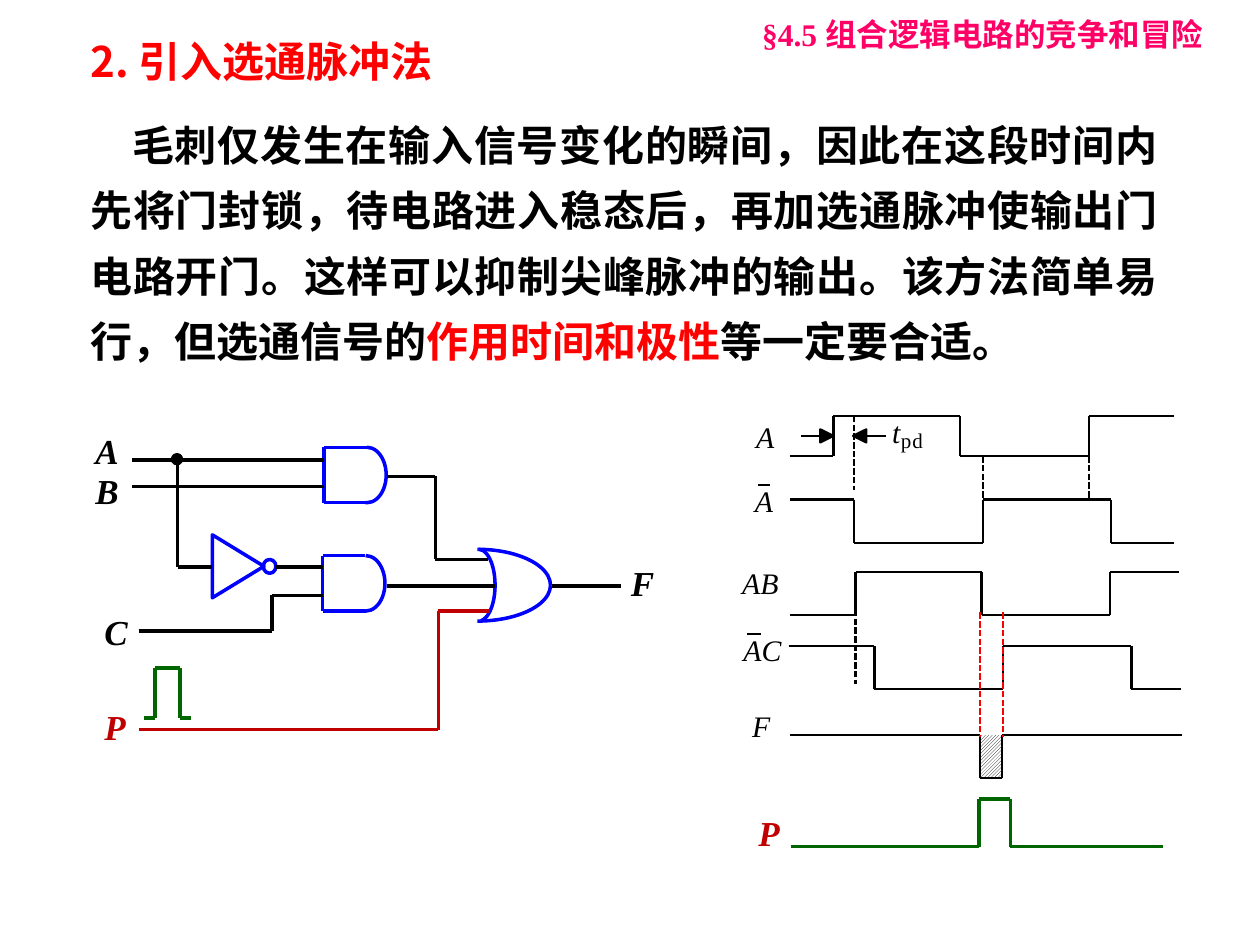
import lxml.etree
import pptx
import pptx.dml.color
import pptx.enum.dml
import pptx.enum.shapes
import pptx.enum.text
import pptx.oxml.ns
import pptx.util

SHAPE = pptx.enum.shapes.MSO_SHAPE
BLACK, BLUE, RED = "000000", "0000FF", "FF0000"
CRIMSON, GREEN, PINK, WHITE = "C00000", "006600", "FF0066", "FFFFFF"
HAN, ROMAN = "Noto Sans CJK SC", "Times New Roman"
COLUMNS, ROWS = 100, 75
THICK, THIN = 2, 1.25


def color(hex_string):
    return pptx.dml.color.RGBColor.from_string(hex_string)


def grid(cells):
    """Length of a number of grid cells; a cell is a tenth of an inch."""
    return pptx.util.Inches(cells / 10)


class Drawing:
    def __init__(self, presentation):
        presentation.slide_width = grid(COLUMNS)
        presentation.slide_height = grid(ROWS)
        self.slide = presentation.slides.add_slide(presentation.slide_layouts[6])
        self.shapes = self.slide.shapes

    def text(self, text, left, top, width, height, *, size=20, font=ROMAN, ink=BLACK,
             bold=False, italic=False, margins=True, wrap=False, indent=0,
             spacing=None, align=None):
        """Text is a string, or a list of (string, colour) pairs."""
        box = self.shapes.add_textbox(*map(grid, (left, top, width, height)))
        frame = box.text_frame
        frame.word_wrap = wrap
        frame.auto_size = pptx.enum.text.MSO_AUTO_SIZE.SHAPE_TO_FIT_TEXT
        if not margins:
            frame.margin_left = frame.margin_right = 0
            frame.margin_top = frame.margin_bottom = 0
        paragraph = frame.paragraphs[0]
        paragraph.alignment = align
        paragraph.line_spacing = spacing
        if indent:
            paragraph._p.get_or_add_pPr().set("indent", str(grid(indent)))
        pieces = [(text, ink)] if isinstance(text, str) else text
        for words, piece_color in pieces:
            run = paragraph.add_run()
            run.text = words
            run.font.size = pptx.util.Pt(size)
            run.font.bold, run.font.italic = bold, italic
            run.font.color.rgb = color(piece_color)
            run.font.name = font
            east_asian = lxml.etree.SubElement(
                run.font._element, pptx.oxml.ns.qn("a:ea"))
            east_asian.set("typeface", HAN)

    def terminal(self, name, left, top, ink=BLACK):
        self.text(name, left, top, 3.4, 4, ink=ink, bold=True, italic=True)

    def signal(self, name, left, top, width=1.5, height=2.9, **style):
        style = {"size": 17, "italic": True, **style}
        self.text(name, left, top, width, height, margins=False, **style)

    def wire(self, *points, ink=BLACK, weight=THICK, dashed=False):
        """Straight lines from each point to the next."""
        for start, end in zip(points, points[1:]):
            line = self.shapes.add_connector(
                pptx.enum.shapes.MSO_CONNECTOR.STRAIGHT, *map(grid, start + end))
            line.line.color.rgb = color(ink)
            line.line.width = pptx.util.Pt(weight)
            if dashed:
                line.line.dash_style = pptx.enum.dml.MSO_LINE.SQUARE_DOT
            lxml.etree.SubElement(
                line._element.spPr, pptx.oxml.ns.qn("a:effectLst"))

    def waveform(self, start, end, level, other_level, edges, **style):
        """A trace that swaps between two levels at every edge."""
        points = [(start, level)]
        for edge in edges:
            points += [(edge, level), (edge, other_level)]
            level, other_level = other_level, level
        self.wire(*points, (end, level), **style)

    def finish(self, shape, fill, ink, weight):
        shape.shadow.inherit = False
        if fill:
            shape.fill.solid()
            shape.fill.fore_color.rgb = color(fill)
        else:
            shape.fill.background()
        shape.line.color.rgb = color(ink)
        shape.line.width = pptx.util.Pt(weight)

    def shape(self, kind, left, top, width, height, fill=None, ink=BLUE, end_angle=None):
        shape = self.shapes.add_shape(kind, *map(grid, (left, top, width, height)))
        self.finish(shape, fill, ink, THICK)
        if end_angle is not None:
            shape.adjustments[0] = 162
            shape.adjustments[1] = end_angle
        return shape

    def and_gate(self, left, top):
        height = 4.4
        self.wire((left + 3.4, top), (left, top), (left, top + height),
                  (left + 3.4, top + height), ink=BLUE)
        self.shape(SHAPE.ARC, left + 1.9, top, 3.05, height, end_angle=55.8)

    def or_gate(self, left, top):
        for flipped in (False, True):
            side = self.shape(SHAPE.ARC, left, top, 11.6, 5.7, fill=WHITE)
            if flipped:
                side._element.spPr.get_or_add_xfrm().set("flipV", "1")
        self.shape(SHAPE.ARC, left + 4.6, top, 2.6, 5.7, fill=WHITE, end_angle=51.86)

    def inverter(self, left, top):
        self.shape(SHAPE.ISOSCELES_TRIANGLE, left, top, 5, 4.1).rotation = 90
        self.shape(SHAPE.OVAL, left + 4.5, top + 1.5, 1, 1.1)

    def arrow(self, tip, tail, y):
        """A short arrow whose solid head is 1.05 cells long and wide."""
        base = tip + (1.05 if tail > tip else -1.05)
        self.wire((tail, y), (base, y), weight=THIN)
        builder = self.shapes.build_freeform(grid(base), grid(y - 0.52), scale=1.0)
        builder.add_line_segments([(grid(tip), grid(y)), (grid(base), grid(y + 0.52))])
        self.finish(builder.convert_to_shape(), BLACK, BLACK, THIN)

    def hatching(self, left, top, width, height):
        fill = self.shape(SHAPE.RECTANGLE, left, top, width, height)
        fill.line.fill.background()
        fill.fill.patterned()
        fill.fill.pattern = pptx.enum.dml.MSO_PATTERN.LIGHT_UPWARD_DIAGONAL
        fill.fill.fore_color.rgb = color(BLACK)
        fill.fill.back_color.rgb = color(WHITE)


def draw_words(drawing):
    drawing.text([
        ("毛刺仅发生在输入信号变化的瞬间，因此在这段时间内先将门封锁，待电路进入稳态后，"
         "再加选通脉冲使输出门电路开门。这样可以抑制尖峰脉冲的输出。该方法简单易行，"
         "但选通信号的", BLACK),
        ("作用时间和极性", RED),
        ("等一定要合适。", BLACK),
    ], 6.2, 7.8, 86.7, 22, size=24, font=HAN, bold=True, wrap=True, indent=3.3,
        spacing=1.3, align=pptx.enum.text.PP_ALIGN.JUSTIFY)
    drawing.text("2. 引入选通脉冲法", 6.2, 2.3, 34.7, 5, size=24, font=HAN, ink=RED, bold=True)
    drawing.text("§4.5 组合逻辑电路的竞争和冒险", 59.5, 0.7, 39.5, 4, size=18, ink=PINK, bold=True)


def draw_circuit(drawing):
    drawing.or_gate(32.1, 43.6)
    drawing.and_gate(25.7, 35.5)
    drawing.and_gate(25.6, 44.1)
    drawing.inverter(16.4, 42.9)
    drawing.wire((10.5, 36.5), (25.7, 36.5))
    drawing.wire((10.5, 38.6), (25.7, 38.6))
    drawing.wire((14.1, 36.5), (14.1, 45), (16.8, 45))
    drawing.wire((21.8, 45), (25.6, 45))
    drawing.wire((11, 50.1), (21.6, 50.1), (21.6, 47.25), (25.6, 47.25))
    drawing.wire((30.7, 37.8), (34.55, 37.8), (34.55, 44.4), (38.7, 44.4))
    drawing.wire((30.7, 46.5), (39.3, 46.5))
    drawing.wire((43.8, 46.5), (49.3, 46.5))
    drawing.wire((11, 57.9), (34.8, 57.9), (34.8, 48.5), (38.9, 48.5), ink=CRIMSON)
    drawing.shape(SHAPE.OVAL, 13.7, 36.1, 0.7, 0.7, fill=BLACK, ink=BLACK)
    drawing.waveform(11.4, 15.2, 57, 53, (12.3, 14.3), ink=GREEN)
    for name, left, top in (("A", 6.6, 33.6), ("B", 6.6, 36.8), ("C", 7.3, 48),
                            ("F", 49.1, 44.1)):
        drawing.terminal(name, left, top)
    drawing.terminal("P", 7.3, 55.5, CRIMSON)


def draw_timing(drawing):
    drawing.hatching(77.7, 58.35, 1.8, 3.4)
    for start, end, level, other_level, edges in (
            (62.7, 93.2, 36.2, 33, (66.15, 76.2, 86.4)),
            (62.7, 93.2, 39.65, 43.1, (67.75, 78, 88.2)),
            (62.7, 93.6, 48.8, 45.4, (67.9, 77.9, 88.1)),
            (62.6, 93.7, 51.3, 54.7, (69.4, 79.6, 89.8)),
            (62.7, 93.8, 58.35, 61.75, (77.75, 79.55))):
        drawing.waveform(start, end, level, other_level, edges, weight=THIN)
    drawing.waveform(62.8, 92.3, 67.2, 63.4, (77.7, 80.2), ink=GREEN)
    for x, top, bottom, ink in (
            (67.75, 33, 38.9, BLACK), (78, 36.2, 40.9, BLACK), (86.4, 36.2, 39.6, BLACK),
            (67.9, 48.4, 54.3, BLACK), (77.75, 48.6, 58.5, RED), (79.6, 48.6, 58.5, RED)):
        drawing.wire((x, top), (x, bottom), ink=ink, weight=THIN, dashed=True)

    drawing.arrow(66.15, 63.6, 34.6)
    drawing.arrow(67.7, 70.3, 34.6)
    drawing.signal("t", 70.8, 32.8, 0.7)
    for letter, left in (("p", 71.5), ("d", 72.4)):
        drawing.signal(letter, left, 33.9, 0.8, 2, size=12, italic=False)
    for name, left, top, width in (
            ("A", 60, 33.2, 1.5), ("A", 59.9, 38.3, 1.5), ("AB", 58.9, 44.8, 2.9),
            ("AC", 59, 50.1, 3.1), ("F", 59.7, 56.2, 1.5)):
        drawing.signal(name, left, top, width)
    drawing.wire((60.2, 38.5), (61.1, 38.5), weight=THIN)
    drawing.wire((59.3, 50.3), (60.4, 50.3), weight=THIN)
    drawing.terminal("P", 59.2, 63.9, CRIMSON)


def main():
    presentation = pptx.Presentation()
    drawing = Drawing(presentation)
    draw_words(drawing)
    draw_circuit(drawing)
    draw_timing(drawing)
    presentation.save("out.pptx")


if __name__ == "__main__":
    main()
